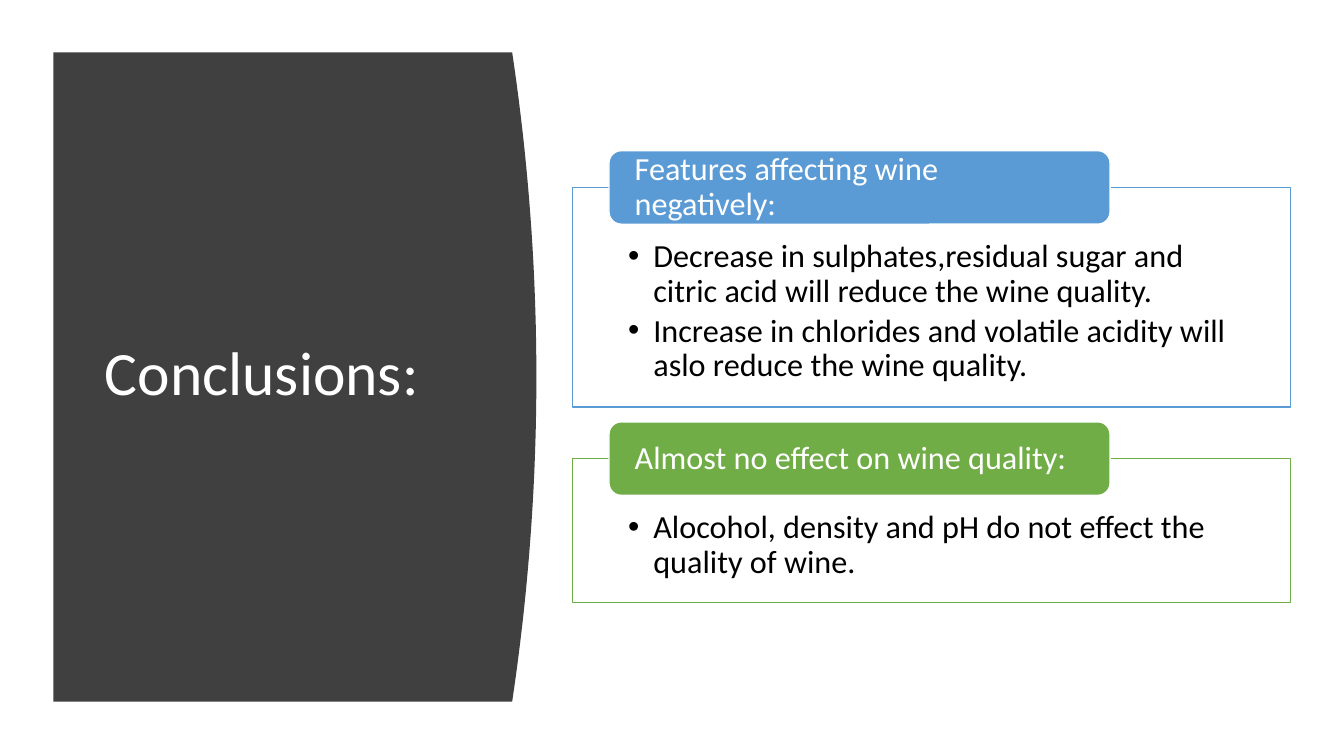
from lxml.etree import SubElement
from pptx import Presentation
from pptx.dml.color import RGBColor
from pptx.enum.shapes import MSO_SHAPE
from pptx.enum.text import MSO_ANCHOR, MSO_AUTO_SIZE, PP_ALIGN
from pptx.oxml.ns import qn
from pptx.util import Inches, Pt

CARD_LEFT, CARD_WIDTH = 5.68, 7.12
TAB_INDENT, TAB_WIDTH, TAB_HEIGHT = 0.36, 4.97, 0.73
CARDS = [
    (1.86, 2.18, "5B9BD5", "Features affecting wine negatively:", [
        "Decrease in sulphates,residual sugar and citric acid will reduce the wine quality.",
        "Increase in chlorides and volatile acidity will aslo reduce the wine quality.",
    ]),
    (4.55, 1.43, "70AD47", "Almost no effect on wine quality:", [
        "Alocohol, density and pH do not effect the quality of wine.",
    ]),
]


def rgb(value):
    return RGBColor.from_string(value)


def paint(sp, fill, line=None):
    sp.fill.solid()
    sp.fill.fore_color.rgb = rgb(fill)
    if line:
        sp.line.color.rgb = rgb(line)
        sp.line.width = Pt(1)
    else:
        sp.line.fill.background()


def place(sp, left, top, width, height):
    sp.left, sp.top = Inches(left), Inches(top)
    sp.width, sp.height = Inches(width), Inches(height)


def set_frame(tf, anchor, left, top, right, bottom):
    tf.word_wrap = True
    tf.auto_size = MSO_AUTO_SIZE.NONE
    tf.vertical_anchor = anchor
    tf.margin_left, tf.margin_top = Inches(left), Inches(top)
    tf.margin_right, tf.margin_bottom = Inches(right), Inches(bottom)


def write(p, text, size, color, after=0):
    p.alignment = PP_ALIGN.LEFT
    p.line_spacing = 0.9
    p.space_before = Pt(0)
    p.space_after = Pt(after)
    r = p.add_run()
    r.text = text
    r.font.name = "Calibri"
    r.font.size = Pt(size)
    r.font.color.rgb = rgb(color)


def add_bullet(p):
    pPr = p._p.get_or_add_pPr()
    pPr.set("marL", str(Inches(0.25)))
    pPr.set("indent", str(-Inches(0.25)))
    SubElement(pPr, qn("a:buFont")).set("typeface", "Arial")
    SubElement(pPr, qn("a:buChar")).set("char", "•")


def add_panel(s):
    left, top, bottom, edge, bulge, steps = 0.53, 0.52, 6.96, 5.08, 0.24, 40
    curve = []
    for i in range(steps + 1):
        t = 2 * i / steps - 1
        y = top + (bottom - top) * i / steps
        curve.append((Inches(edge + bulge * (1 - t * t)), Inches(y)))
    builder = s.shapes.build_freeform(Inches(left), Inches(top))
    builder.add_line_segments(curve + [(Inches(left), Inches(bottom))], close=True)
    sp = builder.convert_to_shape()
    sp.shadow.inherit = False
    paint(sp, "404040")
    sp._element.getparent().insert(2, sp._element)


def set_title(sp, text):
    place(sp, 0.94, 1.11, 3.74, 5.24)
    set_frame(sp.text_frame, MSO_ANCHOR.MIDDLE, 0.1, 0.05, 0.1, 0.05)
    write(sp.text_frame.paragraphs[0], text, 44, "FFFFFF")


def set_list(sp, top, height, color, items):
    place(sp, CARD_LEFT, top, CARD_WIDTH, height)
    paint(sp, "FFFFFF", color)
    tf = sp.text_frame
    set_frame(tf, MSO_ANCHOR.TOP, 0.55, 0.52, 0.55, 0.18)
    for i, item in enumerate(items):
        p = tf.add_paragraph() if i else tf.paragraphs[0]
        write(p, item, 23, "000000", after=3.45)
        add_bullet(p)


def add_tab(s, top, color, text):
    sp = s.shapes.add_shape(
        MSO_SHAPE.ROUNDED_RECTANGLE, Inches(CARD_LEFT + TAB_INDENT),
        Inches(top - TAB_HEIGHT / 2), Inches(TAB_WIDTH), Inches(TAB_HEIGHT))
    sp.shadow.inherit = False
    paint(sp, color, "FFFFFF")
    set_frame(sp.text_frame, MSO_ANCHOR.MIDDLE, 0.22, 0, 0.22, 0)
    write(sp.text_frame.paragraphs[0], text, 23, "FFFFFF")


def main():
    prs = Presentation()
    prs.slide_width, prs.slide_height = Inches(13.33), Inches(7.5)
    s = prs.slides.add_slide(prs.slide_layouts[3])
    title, *lists = s.placeholders
    add_panel(s)
    set_title(title, "Conclusions:")
    for sp, (top, height, color, heading, items) in zip(lists, CARDS):
        set_list(sp, top, height, color, items)
        add_tab(s, top, color, heading)
    prs.save("out.pptx")


if __name__ == "__main__":
    main()
